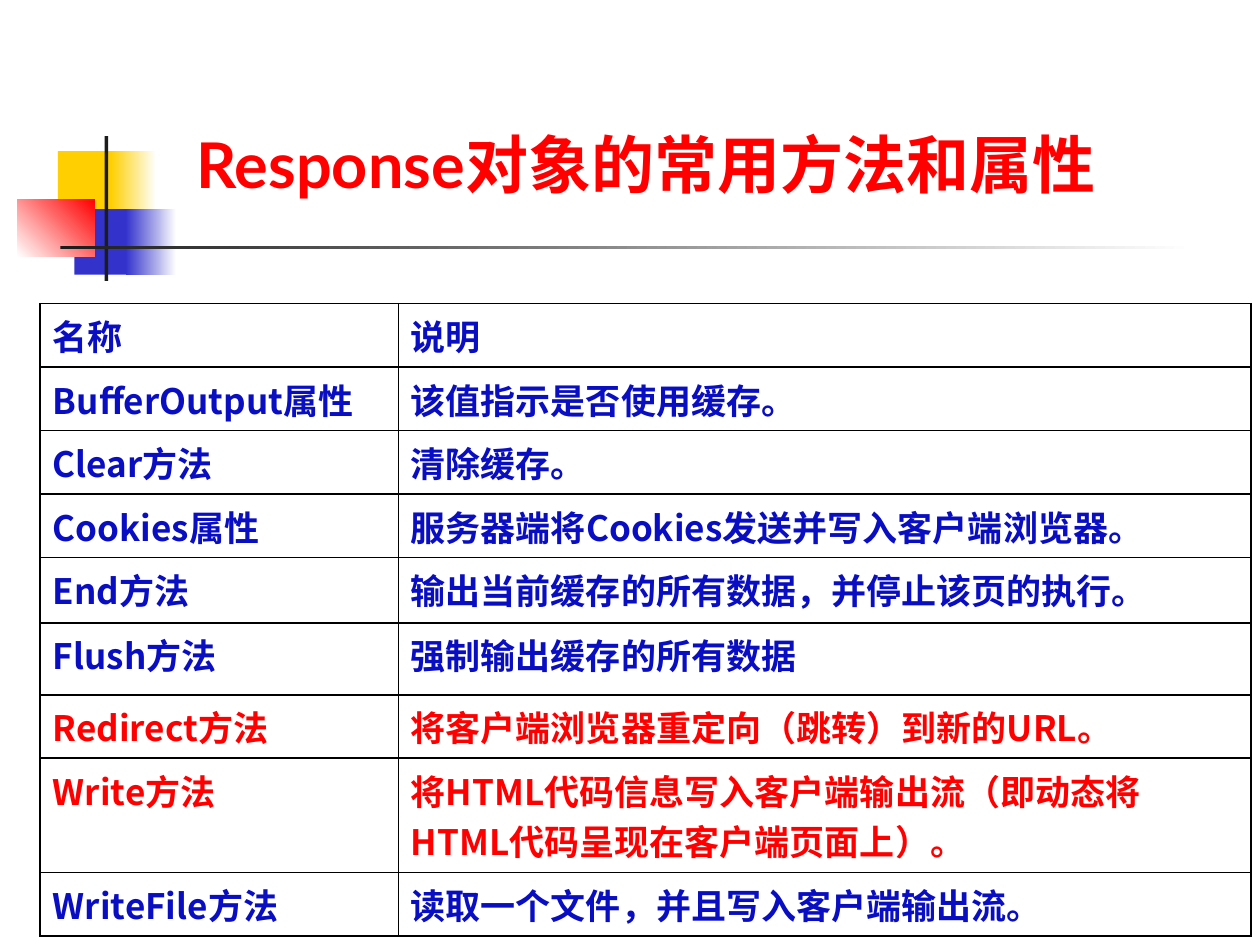
from dataclasses import dataclass

from lxml import etree
from pptx import Presentation
from pptx.dml.color import RGBColor
from pptx.enum.shapes import MSO_SHAPE
from pptx.enum.text import MSO_ANCHOR, MSO_AUTO_SIZE, PP_ALIGN
from pptx.oxml.ns import qn
from pptx.util import Inches, Pt

RECTANGLE = MSO_SHAPE.RECTANGLE
BOTTOM = MSO_ANCHOR.BOTTOM
NO_AUTOFIT = MSO_AUTO_SIZE.NONE
LEFT = PP_ALIGN.LEFT


@dataclass(frozen=True)
class Theme:
    white: str = "FFFFFF"
    yellow: str = "FFCF01"
    blue: str = "3333CC"
    red: str = "FF0000"
    dark: str = "1C1C1C"
    text: str = "0A0EC2"
    border: str = "000000"
    title_font: str = "Lato"
    body_font: str = "Noto Sans CJK JP"
    title_size: int = 36
    body_size: int = 20
    outer_line: float = 1.08
    inner_line: float = 0.45


theme = Theme()


def style_text(text_frame, size, latin, color):
    for para in text_frame.paragraphs:
        para.alignment = LEFT
        for span in para.runs:
            font = span.font
            font.size, font.bold, font.name = Pt(size), True, latin
            font.color.rgb = RGBColor.from_string(color)
            east_asian = etree.Element(qn("a:ea"), typeface=theme.body_font)
            font._element.find(qn("a:latin")).addnext(east_asian)


def add_border(cell, side, width):
    line = etree.SubElement(cell._tc.get_or_add_tcPr(), qn(f"a:{side}"), w=str(Pt(width)))
    fill = etree.SubElement(line, qn("a:solidFill"))
    etree.SubElement(fill, qn("a:srgbClr"), val=theme.border)


deck = Presentation()
deck.slide_width, deck.slide_height = Inches(10), Inches(7.5)
page = deck.slides.add_slide(deck.slide_layouts[5])

# Decorative blocks and rules: left, top, width, height, colours, gradient angle
decorations = [
    (0.46, 1.2, 0.48, 0.52, [theme.yellow], 0),
    (0.88, 1.2, 0.36, 0.52, [theme.yellow, theme.white], 0),
    (0.59, 1.66, 0.46, 0.52, [theme.blue], 0),
    (1, 1.66, 0.4, 0.52, [theme.blue, theme.white], 0),
    (0.14, 1.58, 0.61, 0.46, [theme.white, theme.red], 45),
    (0.83, 1.08, 0.03, 1.15, [theme.dark], 0),
    (0.48, 1.95, 9, 0.03, [theme.dark, theme.white], 0),
]
for *bounds, colors, angle in decorations:
    block = page.shapes.add_shape(RECTANGLE, *map(Inches, bounds))
    block.shadow.inherit = False
    block.line.fill.background()
    if len(colors) == 1:
        block.fill.solid()
        block.fill.fore_color.rgb = RGBColor.from_string(colors[0])
    else:
        block.fill.gradient()
        block.fill.gradient_angle = angle
        for stop, color, position in zip(block.fill.gradient_stops, colors, (0, 1)):
            stop.color.rgb = RGBColor.from_string(color)
            stop.position = position

# Title
title = page.shapes.title
title.left, title.top, title.width, title.height = map(Inches, (1.46, 0.99, 8.99, 0.66))
title.text_frame.text = "Response对象的常用方法和属性"
title.text_frame.word_wrap = True
title.text_frame.auto_size = NO_AUTOFIT
title.text_frame.vertical_anchor = BOTTOM
style_text(title.text_frame, theme.title_size, theme.title_font, theme.red)

# Table of members: height, name, description, colour
members = [
    (0.43, "名称", "说明", theme.text),
    (0.46, "BufferOutput属性", "该值指示是否使用缓存。", theme.text),
    (0.47, "Clear方法", "清除缓存。", theme.text),
    (0.47, "Cookies属性", "服务器端将Cookies发送并写入客户端浏览器。", theme.text),
    (0.52, "End方法", "输出当前缓存的所有数据，并停止该页的执行。", theme.text),
    (0.57, "Flush方法", "强制输出缓存的所有数据", theme.text),
    (0.46, "Redirect方法", "将客户端浏览器重定向（跳转）到新的URL。", theme.red),
    (0.77, "Write方法",
     "将HTML代码信息写入客户端输出流（即动态将HTML代码呈现在客户端页面上）。", theme.red),
    (0.43, "WriteFile方法", "读取一个文件，并且写入客户端输出流。", theme.text),
]
table = page.shapes.add_table(
    len(members), 2, Inches(0.32), Inches(2.41), Inches(9.61), Inches(4.58)).table
table.first_row = table.horz_banding = False
for column, width in zip(table.columns, (2.84, 6.77)):
    column.width = Inches(width)

for row, (height, name, description, color) in zip(table.rows, members):
    row.height = Inches(height)
    for index, (cell, text) in enumerate(zip(row.cells, (name, description))):
        cell.text = text
        style_text(cell.text_frame, theme.body_size, theme.body_font, color)
        cell.margin_left = cell.margin_right = Inches(0.1)
        cell.margin_top = cell.margin_bottom = Inches(0.05)
        add_border(cell, "lnL", theme.inner_line if index else theme.outer_line)
        add_border(cell, "lnR", theme.outer_line if index else theme.inner_line)
        add_border(cell, "lnT", theme.outer_line)
        add_border(cell, "lnB", theme.outer_line)
        cell.fill.background()

deck.save("out.pptx")
